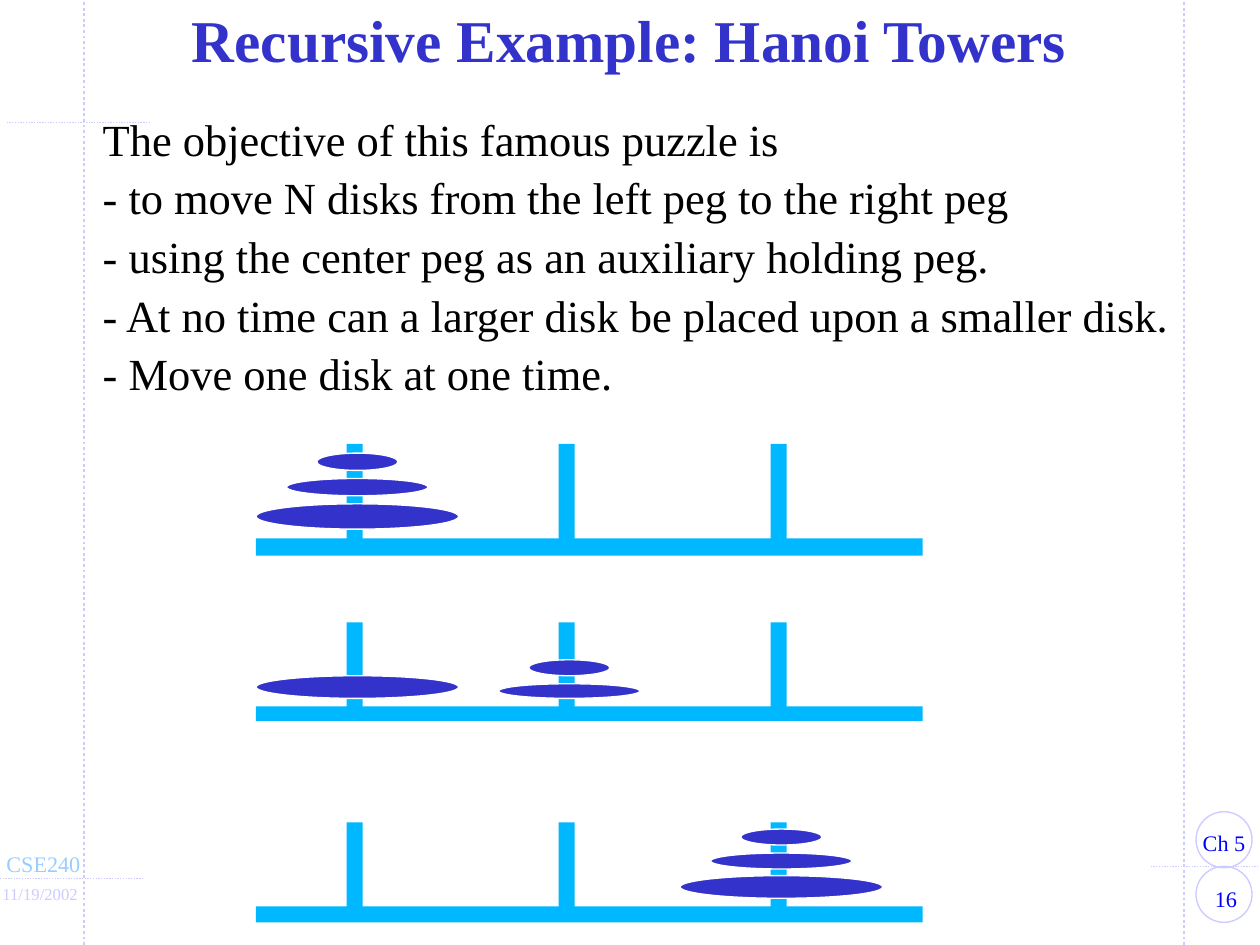
from dataclasses import dataclass

from lxml.etree import SubElement
from pptx import Presentation
from pptx.dml.color import RGBColor
from pptx.enum.dml import MSO_LINE
from pptx.enum.shapes import MSO_CONNECTOR, MSO_SHAPE
from pptx.enum.text import MSO_ANCHOR, MSO_AUTO_SIZE, PP_ALIGN
from pptx.oxml.ns import qn
from pptx.util import Inches, Pt


@dataclass(frozen=True)
class Theme:
    font: str = "Times New Roman"
    title: str = "3333CC"
    body: str = "000000"
    badge: str = "0000FF"
    course: str = "99CCFF"
    guide: str = "CCCCFF"
    peg: str = "00B8FF"
    disk: str = "3333CC"
    disk_edge: str = "FFFFFF"
    title_size: int = 32
    body_size: int = 24
    label_size: int = 12
    date_size: int = 9
    thin: float = 0.75
    thick: float = 1.5


THEME = Theme()

OBJECTIVES = [
    "The objective of this famous puzzle is",
    "- to move N disks from the left peg to the right peg",
    "- using the center peg as an auxiliary holding peg.",
    "- At no time can a larger disk be placed upon a smaller disk.",
    "- Move one disk at one time.",
]

GUIDES = [
    (0.63, 7.09, 0.63, 0, THEME.thick),
    (8.88, 7.09, 8.88, 0, THEME.thick),
    (0, 6.59, 1.08, 6.59, THEME.thin),
    (8.63, 6.5, 9.5, 6.5, THEME.thin),
    (0.05, 0.92, 1.13, 0.92, THEME.thin),
]

LABELS = [
    ("16", (8.92, 6.59, 0.55, 0.3), THEME.label_size, THEME.badge, PP_ALIGN.CENTER),
    ("Ch 5", (8.92, 6.17, 0.52, 0.3), THEME.label_size, THEME.badge, PP_ALIGN.CENTER),
    ("CSE240", (-0.05, 6.33, 0.76, 0.3), THEME.label_size, THEME.course, PP_ALIGN.LEFT),
    ("11/19/2002", (-0.08, 6.58, 0.77, 0.25), THEME.date_size, THEME.guide, PP_ALIGN.LEFT),
]

BASE_LEFT, BASE_WIDTH = 1.92, 5
PEG_LEFT, PEG_STEP, PEG_WIDTH = 2.6, 1.59, 0.12
DISK_OFFSET = 0.08
LARGE, MEDIUM, SMALL = 1.52, 1.06, 0.61

# Each stage: peg top, peg height, base top, base height, disks (width, peg, top, height)
STAGES = [
    (3.33, 0.77, 4.04, 0.13,
     [(LARGE, 0, 3.78, 0.19), (MEDIUM, 0, 3.59, 0.13), (SMALL, 0, 3.4, 0.13)]),
    (4.67, 0.69, 5.3, 0.11,
     [(LARGE, 0, 5.07, 0.17), (MEDIUM, 1, 5.13, 0.11), (SMALL, 1, 4.95, 0.12)]),
    (6.17, 0.69, 6.8, 0.12,
     [(LARGE, 2, 6.57, 0.17), (MEDIUM, 2, 6.4, 0.12), (SMALL, 2, 6.22, 0.12)]),
]


def rgb(color):
    return RGBColor.from_string(color)


def place(sp, left, top, width, height):
    sp.left, sp.top = Inches(left), Inches(top)
    sp.width, sp.height = Inches(width), Inches(height)


def add_run(p, text, size, color, bold=False):
    r = p.add_run()
    r.text = text
    r.font.name = THEME.font
    r.font.size = Pt(size)
    r.font.bold = bold
    r.font.color.rgb = rgb(color)


def add_shape(shapes, kind, box, fill=None, line=None):
    sp = shapes.add_shape(kind, *map(Inches, box))
    sp.shadow.inherit = False
    if fill:
        sp.fill.solid()
        sp.fill.fore_color.rgb = rgb(fill)
    else:
        sp.fill.background()
    if line:
        sp.line.color.rgb = rgb(line)
        sp.line.width = Pt(THEME.thin)
    else:
        sp.line.fill.background()


def add_guide(s, x1, y1, x2, y2, width):
    ends = map(Inches, (x1, y1, x2, y2))
    line = s.shapes.add_connector(MSO_CONNECTOR.STRAIGHT, *ends)
    line.line.color.rgb = rgb(THEME.guide)
    line.line.width = Pt(width)
    line.line.dash_style = MSO_LINE.ROUND_DOT
    SubElement(line._element.spPr, qn("a:effectLst"))


def add_label(s, text, box, size, color, align):
    tf = s.shapes.add_textbox(*map(Inches, box)).text_frame
    tf.word_wrap = False
    p = tf.paragraphs[0]
    p.alignment = align
    add_run(p, text, size, color)


def fill_title(s, text):
    sp = s.shapes.title
    place(sp, 0.69, 0, 8.06, 0.67)
    tf = sp.text_frame
    tf.auto_size = MSO_AUTO_SIZE.NONE
    tf.vertical_anchor = MSO_ANCHOR.MIDDLE
    p = tf.paragraphs[0]
    p.alignment = PP_ALIGN.CENTER
    p.line_spacing = 0.85
    add_run(p, text, THEME.title_size, THEME.title, bold=True)


def fill_body(s, lines):
    sp = s.placeholders[1]
    place(sp, 0.67, 0.75, 8.25, 2.3)
    tf = sp.text_frame
    tf.auto_size = MSO_AUTO_SIZE.NONE
    for i, text in enumerate(lines):
        p = tf.add_paragraph() if i else tf.paragraphs[0]
        pPr = p._p.get_or_add_pPr()
        pPr.set("marL", "0")
        pPr.set("indent", "0")
        SubElement(pPr, qn("a:buNone"))
        p.line_spacing = 1.1
        p.space_before = Pt(0)
        add_run(p, text, THEME.body_size, THEME.body)


def add_stage(s, peg_top, peg_height, base_top, base_height, disks):
    shapes = s.shapes.add_group_shape().shapes
    base = (BASE_LEFT, base_top, BASE_WIDTH, base_height)
    add_shape(shapes, MSO_SHAPE.RECTANGLE, base, THEME.peg)
    for i in range(3):
        peg = (PEG_LEFT + i * PEG_STEP, peg_top, PEG_WIDTH, peg_height)
        add_shape(shapes, MSO_SHAPE.RECTANGLE, peg, THEME.peg)
    for width, i, top, height in disks:
        left = PEG_LEFT + i * PEG_STEP + DISK_OFFSET - width / 2
        add_shape(shapes, MSO_SHAPE.OVAL, (left, top, width, height),
                  THEME.disk, THEME.disk_edge)


def main():
    prs = Presentation()
    prs.slide_width, prs.slide_height = Inches(9.45), Inches(7.09)
    s = prs.slides.add_slide(prs.slide_layouts[1])
    for guide in GUIDES:
        add_guide(s, *guide)
    for top in (6.5, 6.09):
        add_shape(s.shapes, MSO_SHAPE.OVAL, (8.97, top, 0.42, 0.42), line=THEME.guide)
    for label in LABELS:
        add_label(s, *label)
    fill_title(s, "Recursive Example: Hanoi Towers")
    fill_body(s, OBJECTIVES)
    for stage in STAGES:
        add_stage(s, *stage)
    prs.save("out.pptx")


if __name__ == "__main__":
    main()
